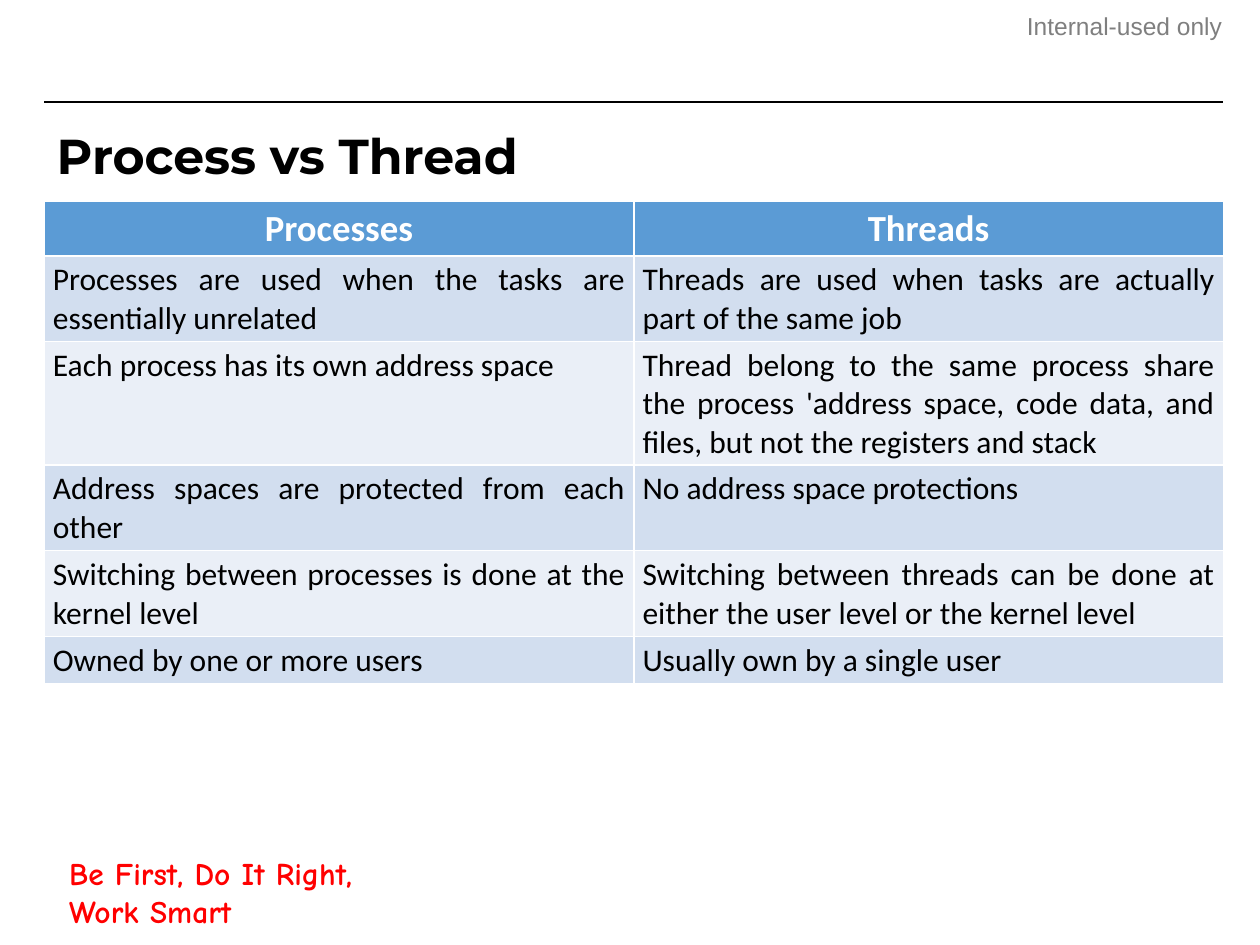
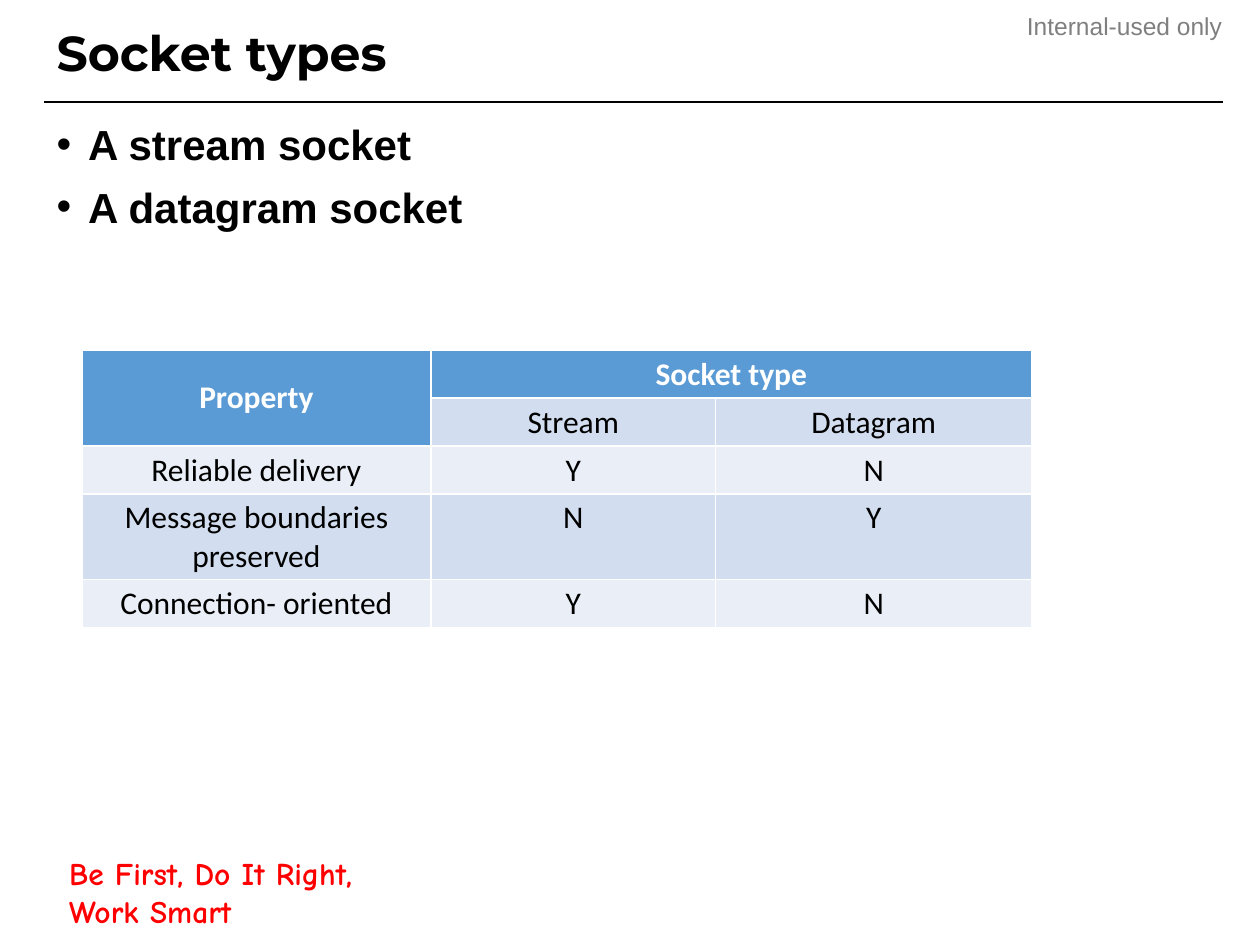
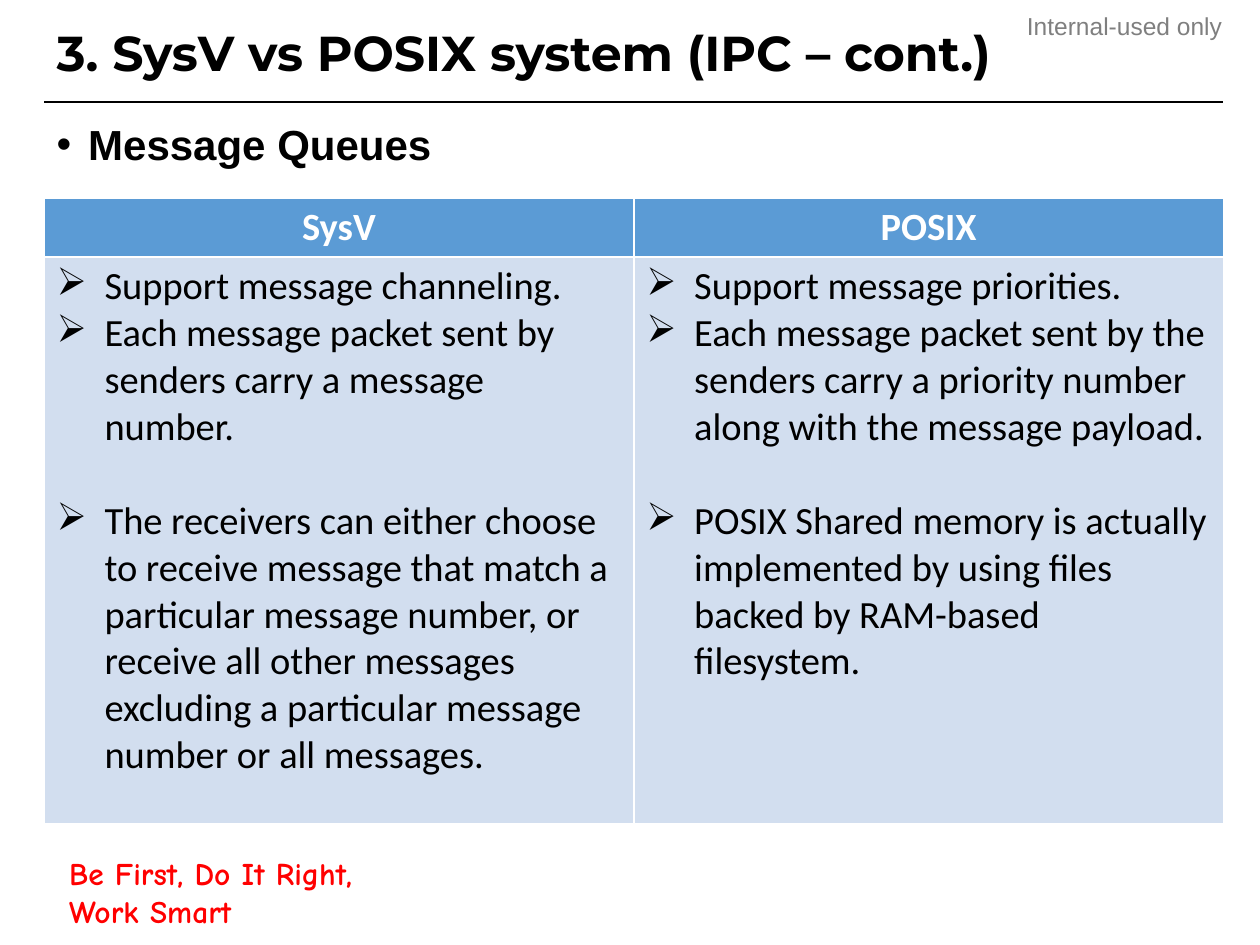
from lxml import etree
from pptx import Presentation
from pptx.dml.color import RGBColor
from pptx.enum.shapes import MSO_CONNECTOR
from pptx.enum.text import MSO_ANCHOR, MSO_AUTO_SIZE, PP_ALIGN
from pptx.oxml.ns import qn
from pptx.util import Inches, Pt

LEFT, CENTER, RIGHT, JUSTIFY = PP_ALIGN.LEFT, PP_ALIGN.CENTER, PP_ALIGN.RIGHT, PP_ALIGN.JUSTIFY
MIDDLE, TOP = MSO_ANCHOR.MIDDLE, MSO_ANCHOR.TOP
NO_FIT = MSO_AUTO_SIZE.NONE
STRAIGHT = MSO_CONNECTOR.STRAIGHT

COLORS = {
    "black": "000000",
    "white": "FFFFFF",
    "gray": "7F7F7F",
    "red": "FF0000",
    "header": "5B9BD5",
    "band_dark": "D2DEEF",
    "band_light": "EAEFF7",
}
TITLE_ONLY, TITLE_AND_BODY = 5, 1

SLIDES = [
    {
        "title": "Process vs Thread",
        "title_at": (0.35, 0.98, 9.35, 0.55),
        "bullets": [],
        "table_at": (0.35, 1.6),
        "cols": [4.68, 4.68],
        "rows": [0.42, 0.68, 0.97, 0.68, 0.68, 0.38],
        "margins": (0.07, 0.04),
        "sizes": (21, 18),
        "align": JUSTIFY,
        "merges": [],
        "middle_rows": 0,
        "cells": [
            ["Processes", "Threads"],
            ["Processes are used when the tasks are essentially unrelated",
             "Threads are used when tasks are actually part of the same job"],
            ["Each process has its own address space",
             "Thread belong to the same process share the process 'address space, "
             "code data, and files, but not the registers and stack"],
            ["Address spaces are protected from each other",
             "No address space protections"],
            ["Switching between processes is done at the kernel level",
             "Switching between threads can be done at either the user level or the kernel level"],
            ["Owned by one or more users", "Usually own by a single user"],
        ],
    },
    {
        "title": "Socket types",
        "title_at": (0.35, 0.08, 9.35, 0.73),
        "bullets": ["A stream socket", "A datagram socket"],
        "table_at": (0.65, 2.78),
        "cols": [2.77, 2.26, 2.51],
        "rows": [0.38, 0.38, 0.38, 0.68, 0.38],
        "margins": (0.07, 0.04),
        "sizes": (18, 18),
        "align": CENTER,
        "merges": [(0, 0, 1, 0), (0, 1, 0, 2)],
        "middle_rows": 2,
        "cells": [
            ["Property", "Socket type", ""],
            ["", "Stream", "Datagram"],
            ["Reliable delivery", "Y", "N"],
            ["Message boundaries preserved", "N", "Y"],
            ["Connection- oriented", "Y", "N"],
        ],
    },
    {
        "title": "3. SysV vs POSIX system (IPC – cont.)",
        "title_at": (0.35, 0.08, 9.35, 0.73),
        "bullets": ["Message Queues"],
        "table_at": (0.35, 1.57),
        "cols": [4.68, 4.68],
        "rows": [0.47, 4.5],
        "margins": (0.1, 0.05),
        "sizes": (22, 22),
        "align": LEFT,
        "merges": [],
        "middle_rows": 0,
        "cells": [
            ["SysV", "POSIX"],
            ["Support message channeling.\n"
             "Each message packet sent by senders carry a message number.\n"
             "The receivers can either choose to receive message that match a particular "
             "message number, or receive all other messages excluding a particular message "
             "number or all messages.",
             "Support message priorities.\n"
             "Each message packet sent by the senders carry a priority number along with "
             "the message payload.\n"
             "POSIX Shared memory is actually implemented by using files backed by "
             "RAM-based filesystem."],
        ],
    },
]


def style(p, font, size, color, bold=False, align=LEFT):
    p.alignment = align
    for r in p.runs:
        r.font.name = font
        r.font.size = Pt(size)
        r.font.bold = bold
        r.font.color.rgb = RGBColor.from_string(COLORS[color])


def add_bullet(p, char, indent):
    pPr = p._p.get_or_add_pPr()
    pPr.set("marL", str(Inches(indent)))
    pPr.set("indent", str(-Inches(indent)))
    etree.SubElement(pPr, qn("a:buChar")).set("char", char)


prs = Presentation()
prs.slide_width, prs.slide_height = Inches(10), Inches(7.5)

for data in SLIDES:
    layout = TITLE_AND_BODY if data["bullets"] else TITLE_ONLY
    s = prs.slides.add_slide(prs.slide_layouts[layout])

    sp = s.shapes.add_textbox(Inches(7.97), Inches(0.09), Inches(1.73), Inches(0.24))
    tf = sp.text_frame
    tf.word_wrap = True
    tf.margin_left = tf.margin_right = tf.margin_top = tf.margin_bottom = 0
    tf.text = "Internal-used only"
    style(tf.paragraphs[0], "Arial", 14, "gray", align=RIGHT)

    sp = s.shapes.add_textbox(Inches(0.45), Inches(6.96), Inches(2.68), Inches(0.24))
    tf = sp.text_frame
    tf.word_wrap = True
    tf.vertical_anchor = MIDDLE
    tf.text = "Be First, Do It Right, Work Smart"
    p = tf.paragraphs[0]
    style(p, "Comic Neue", 18, "red", bold=True)
    ln = etree.Element(qn("a:ln"), w=str(Pt(0.75)))
    fill = etree.SubElement(ln, qn("a:solidFill"))
    etree.SubElement(fill, qn("a:srgbClr")).set("val", COLORS["red"])
    p.runs[0].font._element.insert(0, ln)

    rule = s.shapes.add_connector(STRAIGHT, Inches(0.35), Inches(0.81), Inches(9.71), Inches(0.81))
    rule.line.color.rgb = RGBColor.from_string(COLORS["black"])
    rule.line.width = Pt(1.5)
    etree.SubElement(rule._element.spPr, qn("a:effectLst"))

    sp = s.shapes.title
    sp.left, sp.top, sp.width, sp.height = map(Inches, data["title_at"])
    tf = sp.text_frame
    tf.text = data["title"]
    tf.auto_size = NO_FIT
    tf.vertical_anchor = MIDDLE
    p = tf.paragraphs[0]
    p.line_spacing = 0.9
    style(p, "Montserrat", 28, "black", bold=True)

    if data["bullets"]:
        sp = s.placeholders[1]
        sp.left, sp.top, sp.width, sp.height = map(Inches, (0.35, 0.89, 9.35, 5.79))
        tf = sp.text_frame
        tf.text = "\n".join(data["bullets"])
        tf.auto_size = NO_FIT
        for i, p in enumerate(tf.paragraphs):
            add_bullet(p, "•", 0.25)
            p.space_before = Pt(7 if i else 0)
            style(p, "Arial", 24, "black", bold=True)

    cols, rows = data["cols"], data["rows"]
    left, top = data["table_at"]
    table = s.shapes.add_table(len(rows), len(cols), Inches(left), Inches(top),
                               Inches(sum(cols)), Inches(sum(rows))).table
    for col, width in zip(table.columns, cols):
        col.width = Inches(width)
    for row, height in zip(table.rows, rows):
        row.height = Inches(height)
    for r1, c1, r2, c2 in data["merges"]:
        table.cell(r1, c1).merge(table.cell(r2, c2))

    margin_x, margin_y = map(Inches, data["margins"])
    header_size, body_size = data["sizes"]
    for i, texts in enumerate(data["cells"]):
        band = "header" if i == 0 else "band_dark" if i % 2 else "band_light"
        for j, text in enumerate(texts):
            cell = table.cell(i, j)
            if cell.is_spanned:
                continue
            cell.fill.solid()
            cell.fill.fore_color.rgb = RGBColor.from_string(COLORS[band])
            cell.margin_left = cell.margin_right = margin_x
            cell.margin_top = cell.margin_bottom = margin_y
            cell.vertical_anchor = MIDDLE if i < data["middle_rows"] else TOP
            cell.text_frame.text = text
            paragraphs = cell.text_frame.paragraphs
            for k, p in enumerate(paragraphs):
                if len(paragraphs) > 1:
                    add_bullet(p, "➢", 0.38)
                    if k == 2:
                        p.space_before = Pt(27)
                if i == 0:
                    style(p, "Calibri", header_size, "white", bold=True, align=CENTER)
                else:
                    style(p, "Calibri", body_size, "black", align=data["align"])

prs.save("out.pptx")
